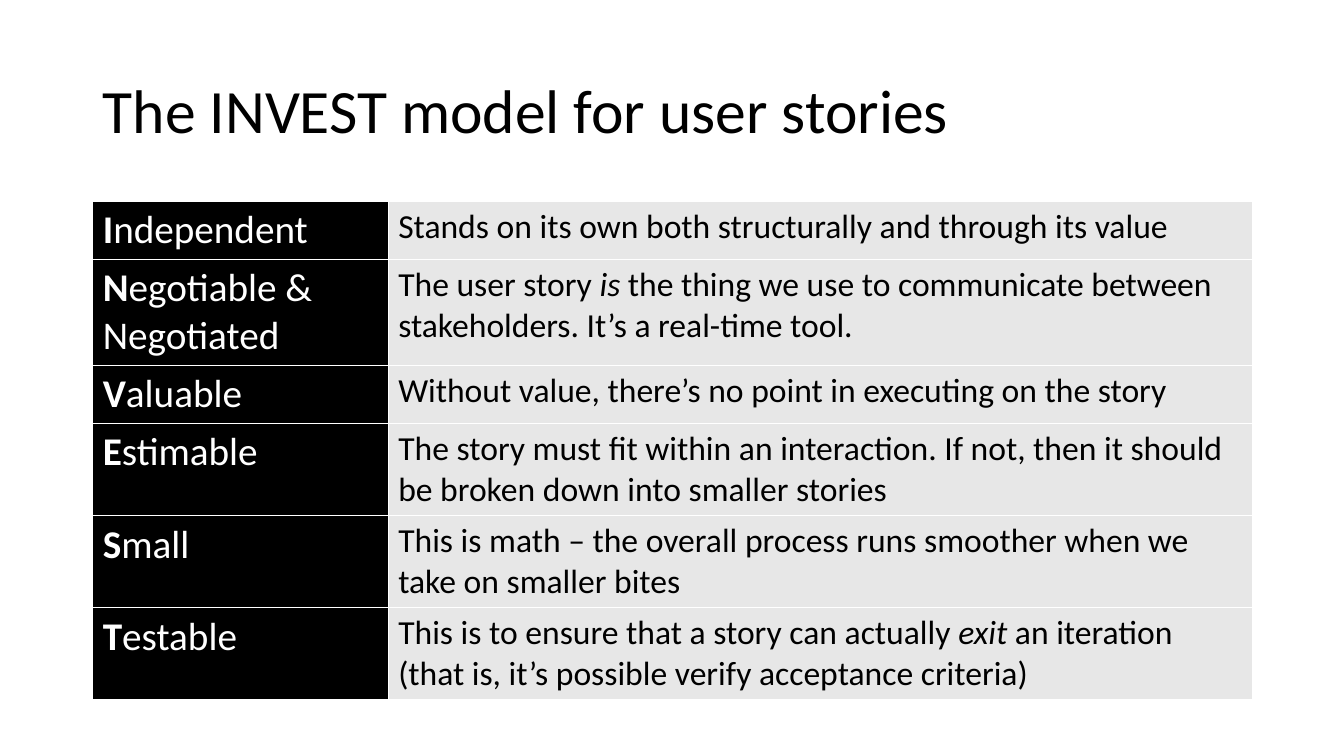
from dataclasses import dataclass

from pptx import Presentation
from pptx.dml.color import RGBColor as Rgb
from pptx.enum.text import MSO_ANCHOR as Anchor, MSO_AUTO_SIZE as Fit, PP_ALIGN as Align
from pptx.slide import Slide
from pptx.table import Table, _Cell as Cell
from pptx.text.text import _Paragraph as Para
from pptx.util import Inches, Pt


@dataclass(frozen=True)
class Theme:
    font: str = "Calibri"
    black: Rgb = Rgb(0, 0, 0)
    white: Rgb = Rgb(255, 255, 255)
    gray: Rgb = Rgb(0xE7, 0xE7, 0xE7)
    title: int = 44
    trait: int = 28
    body: int = 24


@dataclass(frozen=True)
class Trait:
    """One table row; every second phrase is italic."""
    name: str
    phrases: tuple[str, ...]
    height: float


THEME = Theme()
LEFT, WIDTH = 0.92, 11.5
COLS = (2.93, 8.57)
TRAITS = (
    Trait("Independent",
          ("Stands on its own both structurally and through its value",), 0.57),
    Trait("Negotiable & Negotiated",
          ("The user story ", "is", " the thing we use to communicate between "
           "stakeholders. It’s a real-time tool."), 1.05),
    Trait("Valuable",
          ("Without value, there’s no point in executing on the story",), 0.57),
    Trait("Estimable",
          ("The story must fit within an interaction. If not, then it should "
           "be broken down into smaller stories",), 0.91),
    Trait("Small",
          ("This is math – the overall process runs smoother when we "
           "take on smaller bites",), 0.91),
    Trait("Testable",
          ("This is to ensure that a story can actually ", "exit",
           " an iteration (that is, it’s possible verify acceptance criteria)"), 0.91),
)


def style(para: Para, size: int, color: Rgb) -> None:
    para.font.name = THEME.font
    para.font.size = Pt(size)
    para.font.color.rgb = color


def start(cell: Cell, fill: Rgb, size: int, color: Rgb) -> Para:
    """Fill the cell and return its styled, empty paragraph."""
    cell.fill.solid()
    cell.fill.fore_color.rgb = fill
    para = cell.text_frame.paragraphs[0]
    style(para, size, color)
    return para


def add_run(para: Para, text: str, bold: bool = False, italic: bool = False) -> None:
    run = para.add_run()
    run.text = text
    run.font.bold = bold
    run.font.italic = italic


def add_title(slide: Slide, text: str) -> None:
    title = slide.shapes.title
    title.left, title.top = Inches(LEFT), Inches(0.4)
    title.width, title.height = Inches(WIDTH), Inches(1.45)
    frame = title.text_frame
    frame.text = text
    frame.auto_size = Fit.NONE
    frame.vertical_anchor = Anchor.MIDDLE
    para = frame.paragraphs[0]
    para.alignment = Align.LEFT
    para.line_spacing = 0.9
    style(para, THEME.title, THEME.black)


def fill_row(table: Table, index: int, trait: Trait) -> None:
    table.rows[index].height = Inches(trait.height)
    name = start(table.cell(index, 0), THEME.black, THEME.trait, THEME.white)
    add_run(name, trait.name[0], bold=True)
    add_run(name, trait.name[1:])
    text = start(table.cell(index, 1), THEME.gray, THEME.body, THEME.black)
    for spot, phrase in enumerate(trait.phrases):
        add_run(text, phrase, italic=spot % 2 == 1)


def add_traits(slide: Slide) -> None:
    height = sum(trait.height for trait in TRAITS)
    table = slide.shapes.add_table(len(TRAITS), len(COLS), Inches(LEFT), Inches(2),
                                   Inches(WIDTH), Inches(height)).table
    table.first_row = table.horz_banding = False
    for column, width in zip(table.columns, COLS):
        column.width = Inches(width)
    for index, trait in enumerate(TRAITS):
        fill_row(table, index, trait)


def main() -> None:
    deck = Presentation()
    deck.slide_width, deck.slide_height = Inches(13.33), Inches(7.5)
    slide = deck.slides.add_slide(deck.slide_layouts.get_by_name("Title Only"))
    add_title(slide, "The INVEST model for user stories")
    add_traits(slide)
    deck.save("out.pptx")


if __name__ == "__main__":
    main()
